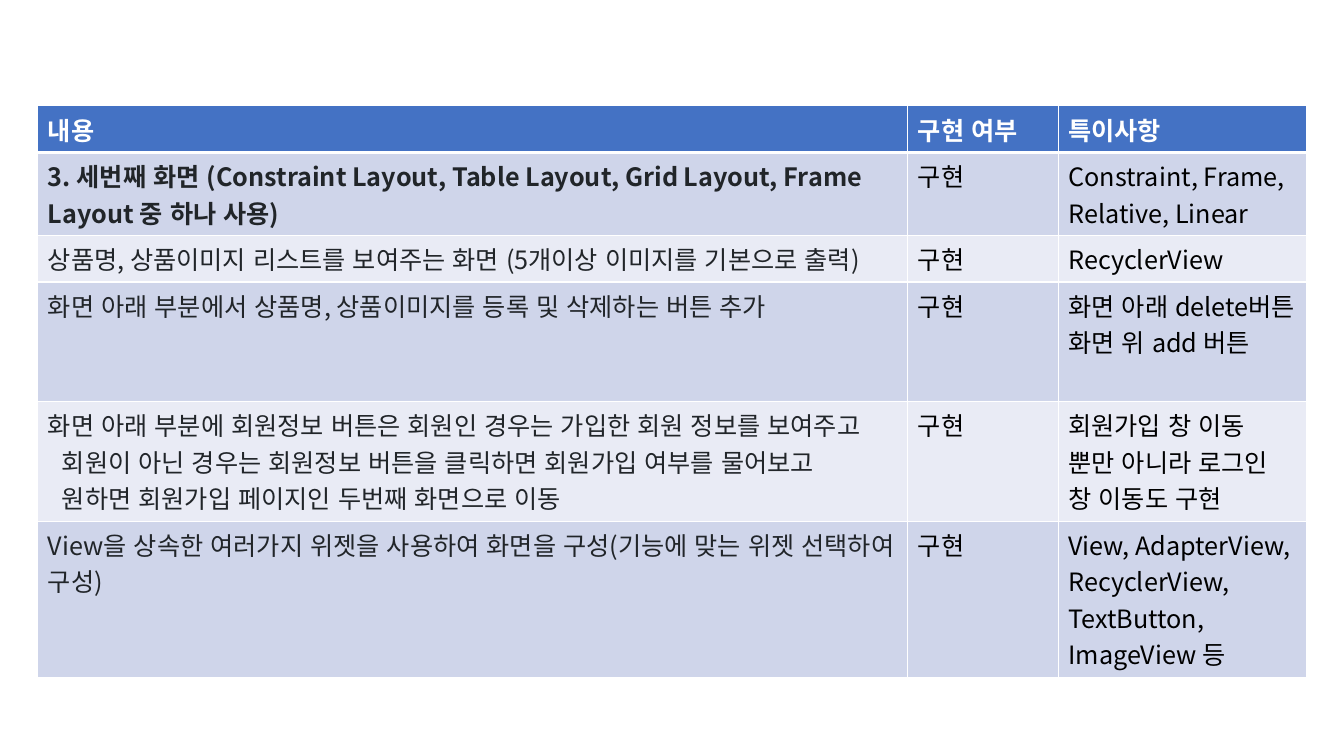
from dataclasses import dataclass
from pptx import Presentation
from pptx.dml.color import RGBColor
from pptx.enum import lang
from pptx.oxml import ns
from pptx.util import Pt
from lxml import etree


@dataclass(frozen=True)
class Theme:
    font: str = "Noto Sans CJK KR"
    size: int = 18
    head: str = "4472C4"
    odd: str = "CFD5EA"
    even: str = "E9EBF5"
    white: str = "FFFFFF"
    black: str = "000000"
    dark: str = "212529"
    thin: int = 1
    thick: int = 3


class Deck:
    def __init__(self, theme):
        self.theme = theme
        self.prs = Presentation()
        self.prs.slide_width = Pt(960)
        self.prs.slide_height = Pt(540)
        self.slide = self.prs.slides.add_slide(self.prs.slide_layouts[6])

    def text(self, para, words, color, bold):
        run = para.add_run()
        run.text = words
        font = run.font
        font.name, font.size, font.bold = self.theme.font, Pt(self.theme.size), bold
        font.color.rgb = RGBColor.from_string(color)
        font.language_id = lang.MSO_LANGUAGE_ID.KOREAN
        east = etree.SubElement(run._r.get_or_add_rPr(), ns.qn("a:ea"))
        east.set("typeface", self.theme.font)

    def edge(self, cell, side, width):
        props = cell._tc.get_or_add_tcPr()
        line = etree.SubElement(props, ns.qn("a:" + side), w=str(Pt(width)))
        fill = etree.SubElement(line, ns.qn("a:solidFill"))
        etree.SubElement(fill, ns.qn("a:srgbClr"), val=self.theme.white)

    def cell(self, cell, lines, fill, color, bold, base):
        for side in ("lnL", "lnR", "lnT", "lnB"):
            thick = base and side == "lnB"
            self.edge(cell, side, self.theme.thick if thick else self.theme.thin)
        cell.fill.solid()
        cell.fill.fore_color.rgb = RGBColor.from_string(fill)
        frame = cell.text_frame
        for i, (words, indent) in enumerate(lines):
            para = frame.add_paragraph() if i else frame.paragraphs[0]
            if indent:
                para._p.get_or_add_pPr().set("marL", str(Pt(indent)))
            self.text(para, words, color, bold)

    def table(self, left, top, widths, heights, rows):
        look = self.theme
        box = self.slide.shapes.add_table(
            len(rows), len(widths), Pt(left), Pt(top), Pt(sum(widths)), Pt(sum(heights))
        )
        grid = box.table
        for col, width in zip(grid.columns, widths):
            col.width = Pt(width)
        for r, row in enumerate(rows):
            grid.rows[r].height = Pt(heights[r])
            fill = look.head if r == 0 else look.odd if r % 2 else look.even
            for c, lines in enumerate(row):
                color = look.white if r == 0 else look.black if c else look.dark
                bold = r == 0 or (r == 1 and c == 0)
                self.cell(grid.cell(r, c), lines, fill, color, bold, r == 0)


def plain(*lines):
    return [(words, 0) for words in lines]


def main():
    done = plain("구현")
    rows = [
        (plain("내용"), plain("구현 여부"), plain("특이사항")),
        (
            plain("3. 세번째 화면 (Constraint Layout, Table Layout, Grid Layout, Frame Layout 중 하나 사용)"),
            done,
            plain("Constraint, Frame, Relative, Linear"),
        ),
        (
            plain("상품명, 상품이미지 리스트를 보여주는 화면 (5개이상 이미지를 기본으로 출력)"),
            done,
            plain("RecyclerView"),
        ),
        (
            plain("화면 아래 부분에서 상품명, 상품이미지를 등록 및 삭제하는 버튼 추가"),
            done,
            plain("화면 아래 delete버튼", "화면 위 add 버튼"),
        ),
        (
            [
                ("화면 아래 부분에 회원정보 버튼은 회원인 경우는 가입한 회원 정보를 보여주고", 0),
                ("회원이 아닌 경우는 회원정보 버튼을 클릭하면 회원가입 여부를 물어보고", 10),
                ("원하면 회원가입 페이지인 두번째 화면으로 이동", 10),
            ],
            done,
            plain("회원가입 창 이동 뿐만 아니라 로그인 창 이동도 구현"),
        ),
        (
            plain("View을 상속한 여러가지 위젯을 사용하여 화면을 구성(기능에 맞는 위젯 선택하여 구성)"),
            done,
            plain("View, AdapterView, RecyclerView, TextButton, ImageView 등"),
        ),
    ]
    heights = [7.2 + 26 * count for count in (1, 2, 1, 3, 3, 4)]
    deck = Deck(Theme())
    deck.table(27, 75.6, (621.4, 107.6, 177.4), heights, rows)
    deck.prs.save("out.pptx")


if __name__ == "__main__":
    main()
